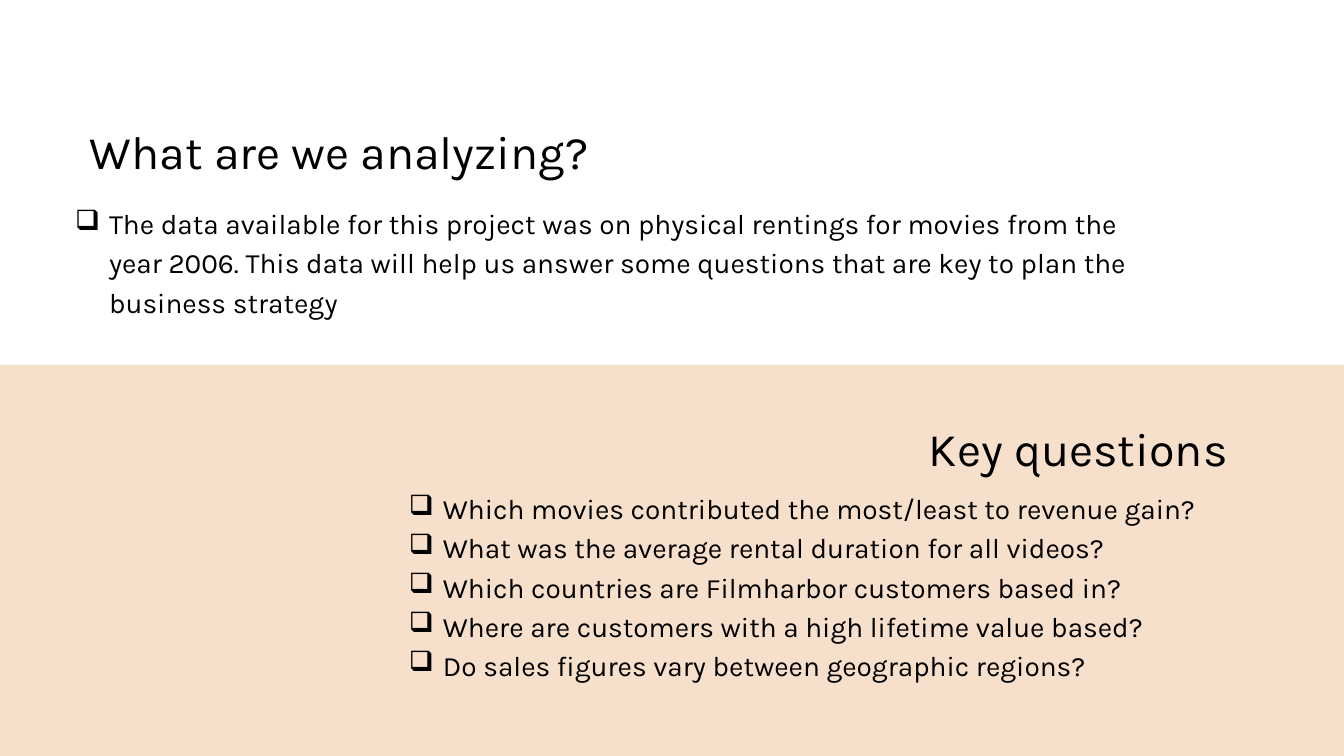
import pptx
import pptx.util
import pptx.dml.color
import pptx.enum.shapes
import pptx.enum.text
import lxml.etree
import pptx.oxml.ns

WIDE, HIGH = 1344, 756
SCALE = 20 * 914400 / WIDE  # EMU per px
INDENT = 34
FONT = "Karla"
COLORS = {"page": "FFFFFF", "band": "F6E0CB", "text": "000000"}
ALIGN = pptx.enum.text.PP_ALIGN

GOAL = [
    "The data available for this project was on physical rentings for movies "
    "from the year 2006. This data will help us answer some questions that "
    "are key to plan the business strategy",
]
ASKS = [
    "Which movies contributed the most/least to revenue gain?",
    "What was the average rental duration for all videos?",
    "Which countries are Filmharbor customers based in?",
    "Where are customers with a high lifetime value based?",
    "Do sales figures vary between geographic regions?",
]


def px(*sizes):
    return [pptx.util.Emu(round(size * SCALE)) for size in sizes]


def color(name):
    return pptx.dml.color.RGBColor.from_string(COLORS[name])


def add_band(slide, box):
    kind = pptx.enum.shapes.MSO_SHAPE.RECTANGLE
    band = slide.shapes.add_shape(kind, *px(*box))
    band.shadow.inherit = False
    band.fill.solid()
    band.fill.fore_color.rgb = color("band")
    band.line.fill.background()


def add_bullet(para):
    props = para._p.get_or_add_pPr()
    indent = px(INDENT)[0]
    props.set("marL", str(indent))
    props.set("indent", str(-indent))
    tag = pptx.oxml.ns.qn("a:buChar")
    lxml.etree.SubElement(props, tag).set("char", "❑")


def add_text(slide, box, lines, size, lead, align, bullet=False):
    frame = slide.shapes.add_textbox(*px(*box)).text_frame
    frame.margin_left = frame.margin_right = 0
    frame.margin_top = frame.margin_bottom = 0
    frame.word_wrap = True
    frame.auto_size = pptx.enum.text.MSO_AUTO_SIZE.SHAPE_TO_FIT_TEXT
    frame.text = "\n".join(lines)
    for para in frame.paragraphs:
        if bullet:
            add_bullet(para)
        para.alignment = align
        para.line_spacing = pptx.util.Pt(lead)
        para.font.name = FONT
        para.font.size = pptx.util.Pt(size)
        para.font.color.rgb = color("text")


def add_title(slide, box, title, align):
    add_text(slide, box, [title], 50, 70, align)


def add_list(slide, box, lines, align):
    add_text(slide, box, lines, 30, 42, align, bullet=True)


def main():
    deck = pptx.Presentation()
    deck.slide_width, deck.slide_height = px(WIDE, HIGH)
    slide = deck.slides.add_slide(deck.slide_layouts[6])
    slide.background.fill.solid()
    slide.background.fill.fore_color.rgb = color("page")

    # Lower band
    add_band(slide, (0, 365, WIDE, HIGH - 365))

    # Subject of the analysis
    add_title(slide, (75, 114, 529, 63), "What are we analyzing?", ALIGN.CENTER)
    add_list(slide, (75, 201, 1053, 116), GOAL, ALIGN.LEFT)

    # Key questions
    add_title(slide, (907, 411, 321, 63), "Key questions", ALIGN.RIGHT)
    add_list(slide, (409, 486, 839, 196), ASKS, ALIGN.JUSTIFY)

    deck.save("out.pptx")


if __name__ == "__main__":
    main()
